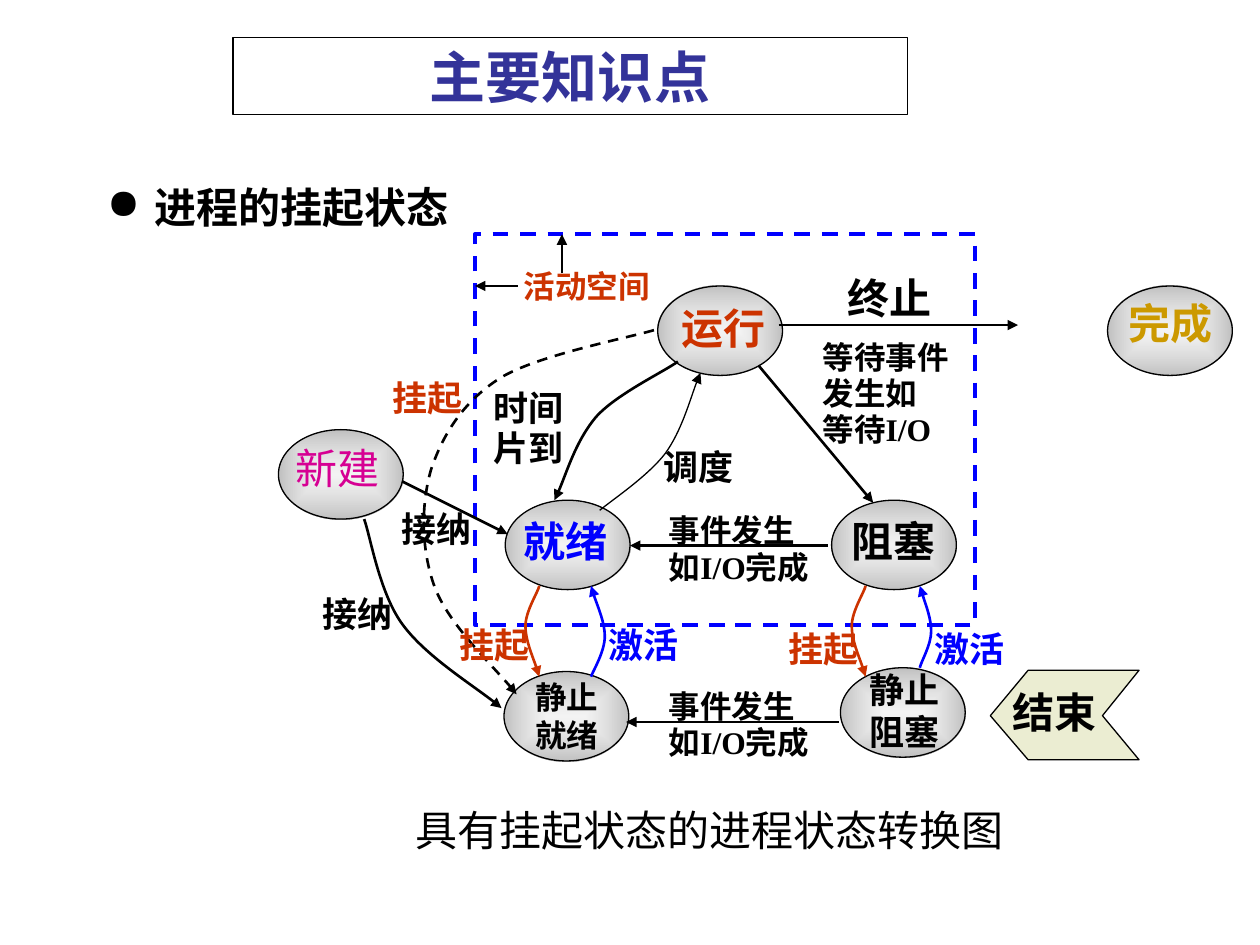
from pptx import Presentation
from pptx.dml.color import RGBColor
from pptx.enum.dml import MSO_LINE
from pptx.enum.shapes import MSO_CONNECTOR, MSO_SHAPE
from pptx.enum.text import MSO_ANCHOR, MSO_AUTO_SIZE, PP_ALIGN
from pptx.oxml import parse_xml
from pptx.oxml.ns import nsdecls, qn
from pptx.util import Inches, Pt

JUSTIFY, CENTER, LEFT = PP_ALIGN.JUSTIFY, PP_ALIGN.CENTER, PP_ALIGN.LEFT
ELLIPSE, RECTANGLE = MSO_SHAPE.OVAL, MSO_SHAPE.RECTANGLE
STRAIGHT, DASH = MSO_CONNECTOR.STRAIGHT, MSO_LINE.DASH
BLACK, RED, BLUE = "000000", "CC3300", "0000FF"
SERIF, SANS = "Times New Roman", "Noto Sans CJK SC"
THIN, THICK = 0.74, 1.5
STATE_WIDTH, STATE_HEIGHT = 0.99, 0.71

STATE_FILL = f"""<a:gradFill {nsdecls('a')} rotWithShape="0"><a:gsLst>
<a:gs pos="0"><a:srgbClr val="EAEAEA"><a:alpha val="50000"/></a:srgbClr></a:gs>
<a:gs pos="100000"><a:srgbClr val="C0C0C0"/></a:gs></a:gsLst>
<a:path path="rect"><a:fillToRect l="50000" t="50000" r="50000" b="50000"/></a:path>
</a:gradFill>"""

# ellipse left, top; label box; lines, size, colour, bold
STATES = [
    (5.22, 2.27, (5.31, 2.35, 0.93, 0.47), ["运行"], 24, RED, True),
    (4.01, 3.97, (4.06, 4.04, 0.95, 0.53), ["就绪"], 24, BLUE, True),
    (6.60, 3.97, (6.66, 4.04, 0.91, 0.53), ["阻塞"], 24, BLACK, True),
    (8.79, 2.27, (8.86, 2.31, 0.94, 0.63), ["完成"], 24, "CC9900", True),
    (6.67, 5.30, (6.80, 5.26, 0.94, 0.62), ["静止", "阻塞"], 20, BLACK, True),
    (4.00, 5.33, (4.15, 5.33, 0.87, 0.62), ["静止", "就绪"], 18, BLACK, True),
    (2.21, 3.41, (2.25, 3.46, 0.93, 0.59), ["新建"], 24, "D60093", False),
]

# start, end, width
STRAIGHT_ARROWS = [
    ((6.57, 4.33), (5.00, 4.33), THICK),
    ((6.02, 2.90), (6.93, 3.99), THICK),
    ((6.18, 2.58), (8.08, 2.58), THICK),
    ((6.66, 5.73), (4.97, 5.73), THICK),
    ((3.19, 3.82), (4.03, 4.24), THICK),
    ((4.46, 2.17), (4.46, 1.86), THIN),
    ((4.11, 2.27), (3.77, 2.27), THIN),
]

SUSPEND = [(4.28, 4.65), (4.27, 4.70), (4.17, 4.85), (4.17, 4.97),
           (4.17, 5.08), (4.26, 5.29), (4.28, 5.37)]

# Bezier points, colour, width, dash
CURVED_ARROWS = [
    ([(5.38, 2.87), (5.27, 2.95), (4.89, 3.13), (4.73, 3.31),
      (4.57, 3.50), (4.47, 3.84), (4.40, 3.97)], BLACK, THICK, None),
    ([(4.76, 4.05), (4.87, 3.96), (5.14, 3.78), (5.28, 3.60),
      (5.41, 3.42), (5.51, 3.06), (5.56, 2.96)], BLACK, THIN, None),
    (SUSPEND, RED, THICK, None),
    ([(x + 2.59, y) for x, y in SUSPEND], RED, THICK, None),
    ([(4.69, 5.37), (4.71, 5.32), (4.80, 5.17), (4.80, 5.05),
      (4.80, 4.94), (4.71, 4.73), (4.69, 4.65)], BLUE, THICK, None),
    ([(7.30, 5.30), (7.31, 5.25), (7.39, 5.12), (7.39, 5.01),
      (7.39, 4.91), (7.32, 4.72), (7.30, 4.65)], BLUE, THICK, None),
    ([(5.19, 2.62), (4.99, 2.68), (4.26, 2.82), (3.97, 3.00),
      (3.67, 3.19), (3.51, 3.46), (3.42, 3.73), (3.34, 4.01), (3.34, 4.36),
      (3.45, 4.66), (3.56, 4.95), (3.96, 5.33), (4.10, 5.51)],
     BLACK, THICK, DASH),
    ([(2.89, 4.12), (2.94, 4.26), (3.01, 4.70), (3.19, 4.95),
      (3.37, 5.20), (3.82, 5.48), (3.98, 5.62)], BLACK, THICK, None),
]

# box, lines, size, colour, line spacing
LABELS = [
    ((5.21, 4.03, 1.39, 0.62), ["事件发生", "如I/O完成"], 18, BLACK, 0.96),
    ((5.21, 5.42, 1.50, 0.62), ["事件发生", "如I/O完成"], 18, BLACK, 0.96),
    ((6.43, 2.65, 1.46, 1.02), ["等待事件", "发生如", "等待I/O"], 18, BLACK, 0.96),
    ((3.82, 3.04, 0.82, 0.79), ["时间", "片到"], 20, BLACK, 0.96),
    ((5.17, 3.51, 0.86, 0.46), ["调度"], 20, BLACK, 0.96),
    ((6.63, 2.14, 0.94, 0.47), ["终止"], 24, BLACK, 0.96),
    ((4.06, 2.07, 1.26, 0.46), ["活动空间"], 18, RED, None),
    ((3.55, 4.90, 0.86, 0.47), ["挂起"], 20, RED, None),
    ((6.16, 4.93, 0.86, 0.46), ["挂起"], 20, RED, None),
    ((3.02, 2.94, 0.78, 0.47), ["挂起"], 20, RED, None),
    ((4.73, 4.90, 0.88, 0.47), ["激活"], 20, BLUE, None),
    ((7.32, 4.93, 0.88, 0.46), ["激活"], 20, BLUE, None),
    ((3.09, 3.98, 0.85, 0.47), ["接纳"], 20, BLACK, None),
    ((2.46, 4.65, 0.79, 0.46), ["接纳"], 20, BLACK, None),
]


def color(value):
    """Turn a hex string into a colour."""
    return RGBColor.from_string(value)


def style_line(line, value, width, dash=None):
    """Set the colour, width and dash of a line."""
    line.color.rgb = color(value)
    line.width = Pt(width)
    if dash is not None:
        line.dash_style = dash


def add_arrowhead(shape):
    """Put a triangle at the end of a line."""
    line = shape.element.spPr.find(qn("a:ln"))
    line.append(parse_xml(f'<a:tailEnd {nsdecls("a")} type="triangle"/>'))


def add_run(paragraph, text, size, value, bold=True, font=SERIF):
    """Add one formatted run."""
    run = paragraph.add_run()
    run.text = text
    run.font.name, run.font.size, run.font.bold = font, Pt(size), bold
    run.font.color.rgb = color(value)


def add_text(slide, box, lines, size, value, spacing=None, bold=True,
             align=JUSTIFY):
    """Add a text box with one paragraph a line; return its first paragraph."""
    frame = slide.shapes.add_textbox(*map(Inches, box)).text_frame
    frame.word_wrap = True
    for index, text in enumerate(lines):
        paragraph = frame.add_paragraph() if index else frame.paragraphs[0]
        paragraph.alignment = align
        if spacing:
            paragraph.line_spacing = spacing
        add_run(paragraph, text, size, value, bold)
    return frame.paragraphs[0]


def add_bullet(paragraph, indent):
    """Give a paragraph a round bullet and a hanging indent."""
    properties = paragraph._p.get_or_add_pPr()
    properties.set("marL", str(Inches(indent)))
    properties.set("indent", str(-Inches(indent)))
    properties.append(parse_xml(f'<a:buChar {nsdecls("a")} char="●"/>'))


def add_state(slide, left, top, box, lines, size, value, bold):
    """Add a shaded ellipse and its name."""
    shape = slide.shapes.add_shape(
        ELLIPSE, *map(Inches, (left, top, STATE_WIDTH, STATE_HEIGHT)))
    shape.shadow.inherit = False
    shape.fill.gradient()
    properties = shape.element.spPr
    properties.replace(properties.find(qn("a:gradFill")), parse_xml(STATE_FILL))
    style_line(shape.line, BLACK, THIN)
    add_text(slide, box, lines, size, value, bold=bold)


def add_straight_arrow(slide, start, end, width):
    """Add a straight arrow."""
    arrow = slide.shapes.add_connector(STRAIGHT, *map(Inches, start + end))
    style_line(arrow.line, BLACK, width)
    add_arrowhead(arrow)
    arrow.element.spPr.append(parse_xml(f'<a:effectLst {nsdecls("a")}/>'))


def add_outline(slide, points, closed):
    """Add a freeform through the given points."""
    start, *rest = [(Inches(x), Inches(y)) for x, y in points]
    builder = slide.shapes.build_freeform(*start)
    builder.add_line_segments(rest, close=closed)
    shape = builder.convert_to_shape()
    shape.shadow.inherit = False
    return shape


def add_curved_arrow(slide, points, value, width, dash):
    """Add an arrow whose points are joined Bezier segments."""
    shape = add_outline(slide, points, closed=False)
    shape.fill.background()
    style_line(shape.line, value, width, dash)
    add_arrowhead(shape)
    segments = list(shape.element.iter(qn("a:lnTo")))
    for first in range(0, len(segments), 3):
        curve = parse_xml(f'<a:cubicBezTo {nsdecls("a")}/>')
        segments[first].addprevious(curve)
        for segment in segments[first:first + 3]:
            curve.append(segment[0])
            segment.getparent().remove(segment)


def add_title(slide, text):
    """Frame and fill the title placeholder."""
    title = slide.shapes.title
    title.left, title.top, title.width, title.height = map(
        Inches, (1.85, 0.3, 5.35, 0.61))
    title.fill.solid()
    title.fill.fore_color.rgb = color("FFFFFF")
    style_line(title.line, BLACK, THIN)
    frame = title.text_frame
    frame.auto_size, frame.vertical_anchor = MSO_AUTO_SIZE.NONE, MSO_ANCHOR.MIDDLE
    frame.paragraphs[0].alignment = CENTER
    add_run(frame.paragraphs[0], text, 32, "333399", font="Roboto")


def add_end_button(slide):
    """Add the notched end marker and its word."""
    marker = add_outline(slide, [(9.04, 6.03), (8.16, 6.03), (7.86, 5.68),
                                 (8.16, 5.32), (9.04, 5.32), (8.75, 5.68)], True)
    marker.fill.solid()
    marker.fill.fore_color.rgb = color("E1E4BA")
    fill = marker.element.spPr.find(qn("a:solidFill"))
    fill[0].append(parse_xml(f'<a:alpha {nsdecls("a")} val="65000"/>'))
    style_line(marker.line, BLACK, THIN)
    add_text(slide, (7.94, 5.4, 1.02, 0.5), ["结束"], 24, BLACK, align=LEFT)


def add_active_space(slide):
    """Add the dashed frame around the active states."""
    frame = slide.shapes.add_shape(
        RECTANGLE, *map(Inches, (3.77, 1.86, 3.97, 3.1)))
    frame.shadow.inherit = False
    frame.fill.background()
    style_line(frame.line, BLUE, 2.24, DASH)


def main():
    """Build the slide and save it."""
    presentation = Presentation()
    presentation.slide_width, presentation.slide_height = Inches(10), Inches(7.5)
    slide = presentation.slides.add_slide(presentation.slide_layouts[5])
    add_title(slide, "主要知识点")
    heading = add_text(slide, (0.75, 1.39, 3.07, 0.48), ["进程的挂起状态"], 24, BLACK)
    add_bullet(heading, 0.38)
    for state in STATES:
        add_state(slide, *state)
    add_active_space(slide)
    for arrow in STRAIGHT_ARROWS:
        add_straight_arrow(slide, *arrow)
    for arrow in CURVED_ARROWS:
        add_curved_arrow(slide, *arrow)
    for label in LABELS:
        add_text(slide, *label)
    add_end_button(slide)
    caption = add_text(slide, (2.56, 6.36, 6.14, 0.47), [], 24, BLACK)
    caption.alignment, caption.line_spacing = CENTER, 0.96
    add_run(caption, "具有挂起状态的进程", 24, BLACK, False, SANS)
    add_run(caption, "状态转换图", 24, BLACK, False)
    presentation.save("out.pptx")


main()
